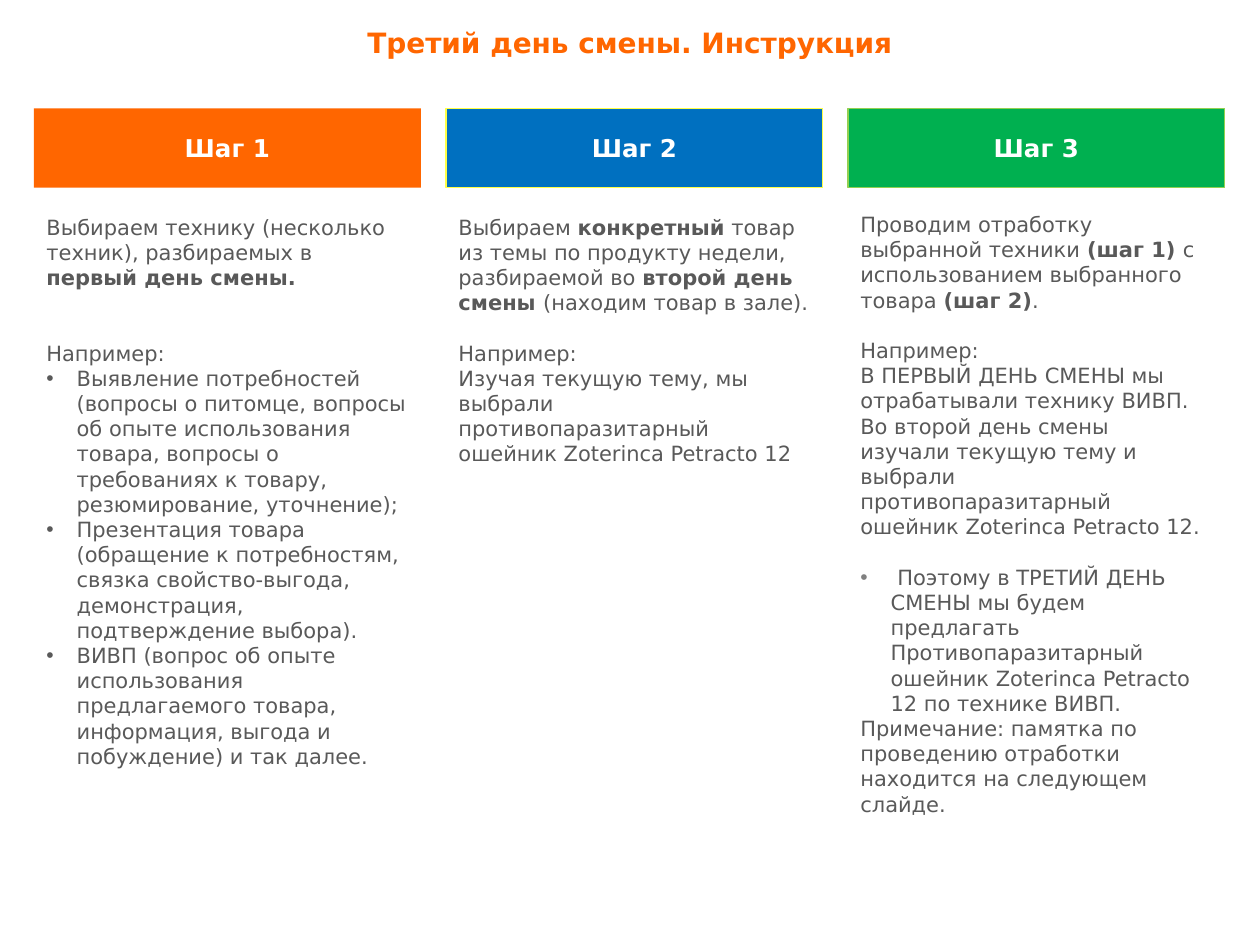
from pptx import Presentation
from pptx.dml.color import RGBColor
from pptx.enum.shapes import MSO_SHAPE
from pptx.enum.text import MSO_ANCHOR, MSO_AUTO_SIZE, PP_ALIGN
from pptx.oxml import parse_xml
from pptx.oxml.ns import nsdecls
from pptx.util import Inches, Pt

THEME = {
    "font": "DejaVu Sans",
    "title": 16, "head": 14, "body": 12, "line": 14.4,
    "accent": "FF6600", "text": "595959", "white": "FFFFFF", "dot": "808080",
}
HANG = Inches(0.24)
LEFT, GAP = 0.27, 0.2
HEAD_TOP, HEAD_TALL = 0.86, 0.63


def add_run(para, text, size, color, bold=False):
    run = para.add_run()
    run.text = text
    font = run.font
    font.name, font.size, font.bold = THEME["font"], Pt(THEME[size]), bold
    font.color.rgb = RGBColor.from_string(THEME[color])


def add_dot(para, color):
    """Give the paragraph a hanging round bullet."""
    props = para._p.get_or_add_pPr()
    props.set("marL", str(HANG))
    props.set("indent", str(-HANG))
    ns = nsdecls("a")
    for xml in (
        f'<a:buClr {ns}><a:srgbClr val="{THEME[color]}"/></a:buClr>',
        f'<a:buFont {ns} typeface="Arial"/>',
        f'<a:buChar {ns} char="•"/>',
    ):
        props.append(parse_xml(xml))


# Each paragraph: blank lines before, bullet colour, runs (every second one bold)
steps = [
    {
        "head": "Шаг 1", "fill": "FF6600", "line": None,
        "wide": 3.07, "body": (1.65, 3.07, 4.96),
        "paras": [
            (0, None, ["Выбираем технику (несколько техник), разбираемых в ",
                       "первый день смены."]),
            (2, None, ["Например:"]),
            (0, "text", ["Выявление потребностей (вопросы о питомце, вопросы об опыте "
                         "использования товара, вопросы о требованиях к товару, "
                         "резюмирование, уточнение);"]),
            (0, "text", ["Презентация товара (обращение к потребностям, связка "
                         "свойство-выгода, демонстрация, подтверждение выбора)."]),
            (0, "text", ["ВИВП (вопрос об опыте использования предлагаемого товара, "
                         "информация, выгода и побуждение) и так далее."]),
        ],
    },
    {
        "head": "Шаг 2", "fill": "0070C0", "line": "FFFF47",
        "wide": 2.99, "body": (1.65, 2.99, 2.99),
        "paras": [
            (0, None, ["Выбираем ", "конкретный",
                       " товар из темы по продукту недели, разбираемой во ",
                       "второй день смены ", "(находим товар в зале)."]),
            (1, None, ["Например:"]),
            (0, None, ["Изучая текущую тему, мы выбрали противопаразитарный "
                       "ошейник Zoterinca Petracto 12"]),
        ],
    },
    {
        "head": "Шаг 3", "fill": "00B050", "line": "92D050",
        "wide": 2.99, "body": (1.63, 2.91, 4.96),
        "paras": [
            (0, None, ["Проводим отработку выбранной техники ", "(шаг 1) ",
                       "с использованием выбранного товара ", "(шаг 2)", "."]),
            (1, None, ["Например:"]),
            (0, None, ["В ПЕРВЫЙ ДЕНЬ СМЕНЫ мы отрабатывали технику ВИВП. Во второй "
                       "день смены изучали текущую тему и выбрали "
                       "противопаразитарный ошейник Zoterinca Petracto 12."]),
            (1, "dot", [" Поэтому в ТРЕТИЙ ДЕНЬ СМЕНЫ мы будем предлагать "
                        "Противопаразитарный ошейник Zoterinca Petracto 12 "
                        "по технике ВИВП."]),
            (0, None, ["Примечание: памятка по проведению отработки находится "
                       "на следующем слайде."]),
        ],
    },
]

deck = Presentation()
deck.slide_width, deck.slide_height = Inches(10), Inches(7.5)
slide = deck.slides.add_slide(deck.slide_layouts[5])

title = slide.shapes.title
title.left, title.top = 0, Inches(0.15)
title.width, title.height = deck.slide_width, Inches(0.37)
frame = title.text_frame
frame.auto_size = MSO_AUTO_SIZE.SHAPE_TO_FIT_TEXT
frame.vertical_anchor = MSO_ANCHOR.TOP
frame.paragraphs[0].alignment = PP_ALIGN.CENTER
add_run(frame.paragraphs[0], "Третий день смены. Инструкция", "title", "accent", True)

left = LEFT
for step in steps:
    head = slide.shapes.add_shape(
        MSO_SHAPE.RECTANGLE, Inches(left), Inches(HEAD_TOP),
        Inches(step["wide"]), Inches(HEAD_TALL))
    head.shadow.inherit = False
    head.fill.solid()
    head.fill.fore_color.rgb = RGBColor.from_string(step["fill"])
    if step["line"]:
        head.line.color.rgb = RGBColor.from_string(step["line"])
        head.line.width = Pt(0.75)
    else:
        head.line.fill.background()
    head.text_frame.vertical_anchor = MSO_ANCHOR.MIDDLE
    para = head.text_frame.paragraphs[0]
    para.alignment = PP_ALIGN.CENTER
    add_run(para, step["head"], "head", "white", True)

    top, wide, tall = step["body"]
    body = slide.shapes.add_textbox(
        Inches(left), Inches(top), Inches(wide), Inches(tall))
    frame = body.text_frame
    frame.word_wrap = True
    for row, (blank, dot, runs) in enumerate(step["paras"]):
        para = frame.add_paragraph() if row else frame.paragraphs[0]
        if blank:
            para.space_before = Pt(blank * THEME["line"])
        if dot:
            add_dot(para, dot)
        for spot, text in enumerate(runs):
            add_run(para, text, "body", "text", spot % 2 == 1)
    left += step["wide"] + GAP

deck.save("out.pptx")
